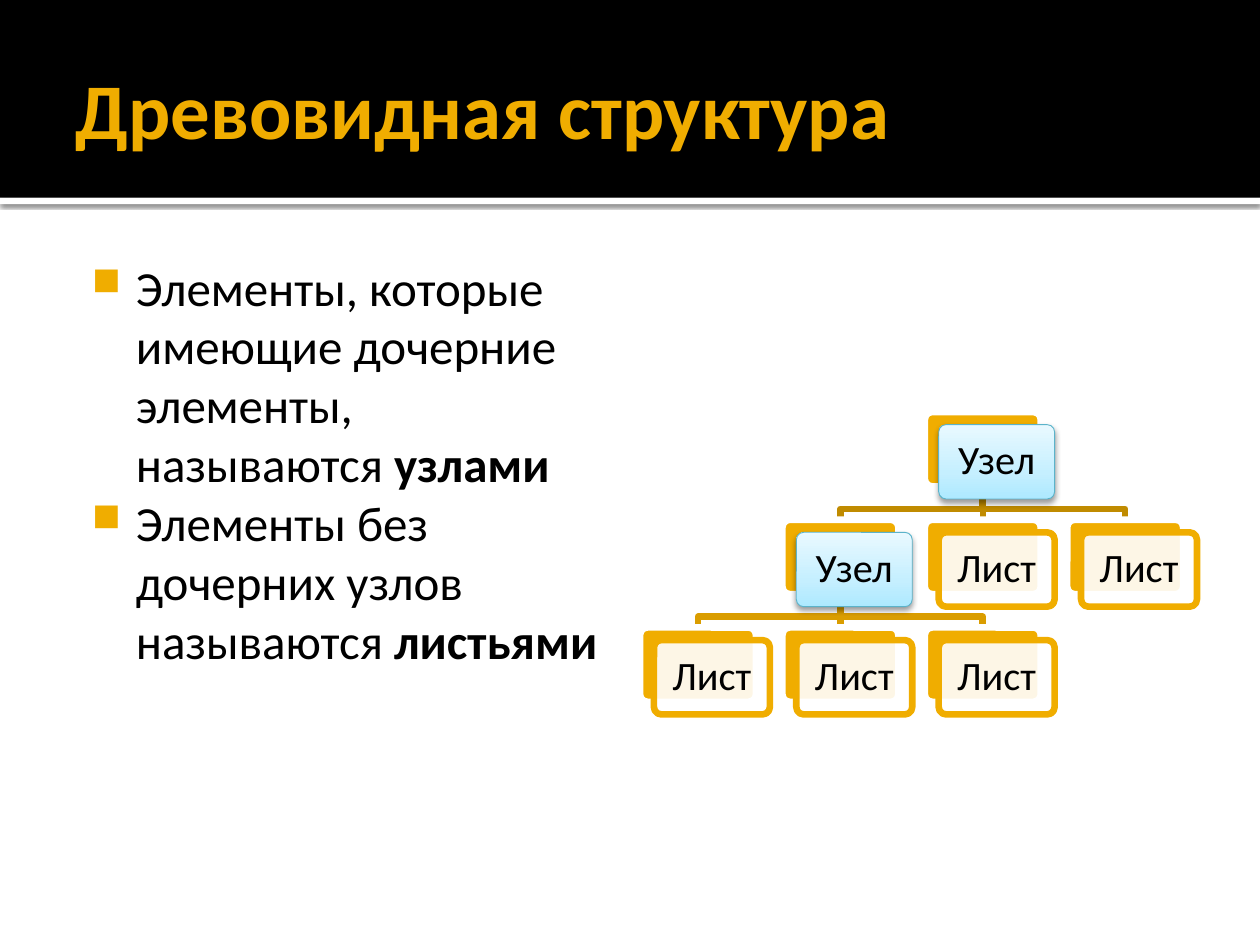
import copy

import pptx
import pptx.dml.color
import pptx.enum.shapes
import pptx.enum.text
import pptx.oxml
import pptx.oxml.ns
import pptx.util
from pptx.util import Inches

RGBColor = pptx.dml.color.RGBColor
MSO_SHAPE = pptx.enum.shapes.MSO_SHAPE
ANCHOR = pptx.enum.text.MSO_ANCHOR
ALIGN = pptx.enum.text.PP_ALIGN
qn = pptx.oxml.ns.qn

BLACK = RGBColor(0x00, 0x00, 0x00)
WHITE = RGBColor(0xFF, 0xFF, 0xFF)
GOLD = RGBColor(0xF0, 0xAD, 0x00)
ROOT_LINK = RGBColor(0xC0, 0x8B, 0x00)
CHILD_LINK = RGBColor(0xDA, 0x9D, 0x00)
NODE_LINE = RGBColor(0x5B, 0xB3, 0xCA)
NODE_STOPS = [
    (0, RGBColor(0xAD, 0xE9, 0xFF)),
    (0.35, RGBColor(0xC5, 0xEF, 0xFF)),
    (1, RGBColor(0xE9, 0xF9, 0xFF)),
]

# Tree grid: cards sit on columns and rows, labels are shifted off the cards
LEFT, TOP = 5.08, 3.27
COLUMN_STEP, ROW_STEP = 1.13, 0.855
CARD_WIDTH, CARD_HEIGHT = 0.92, 0.59
SHIFT_X, SHIFT_Y = 0.11, 0.1
LINK_BEND, LINK_HEIGHT = 0.18, 0.27
THICK = 3.78

LINKS = [  # parent (column, row), child columns, colour
    ((2, 0), (1, 2, 3), ROOT_LINK),
    ((1, 1), (0, 1, 2), CHILD_LINK),
]
CARDS = [  # column, row, label
    (2, 0, "Узел"), (1, 1, "Узел"),
    (0, 2, "Лист"), (1, 2, "Лист"), (2, 2, "Лист"),
    (2, 1, "Лист"), (3, 1, "Лист"),
]
BULLETS = [
    [("Элементы, которые имеющие дочерние элементы, называются ", False), ("узлами", True)],
    [("Элементы без дочерних узлов называются ", False), ("листьями", True)],
]


def write_text(paragraph, text, *, size, color=BLACK, bold=False, font="Calibri"):
    run = paragraph.add_run()
    run.text = text
    run.font.name = font
    run.font.size = pptx.util.Pt(size)
    run.font.bold = bold
    run.font.color.rgb = color


def drawing_element(xml):
    return pptx.oxml.parse_xml(xml.replace(">", f" {pptx.oxml.ns.nsdecls('a')}>", 1))


class SlideBuilder:
    def __init__(self, slide):
        self.slide = slide

    def box(self, preset, left, top, width, height, fill=None, line=None, line_width=THICK):
        shape = self.slide.shapes.add_shape(
            preset, Inches(left), Inches(top), Inches(width), Inches(height))
        shape.shadow.inherit = False
        if fill is not None:
            shape.fill.solid()
            shape.fill.fore_color.rgb = fill
        if line is None:
            shape.line.fill.background()
        else:
            self.stroke(shape, line, line_width)
        return shape

    def stroke(self, shape, color, width=THICK):
        shape.line.color.rgb = color
        shape.line.width = pptx.util.Pt(width)

    def drop_shadow(self, shape, opacity, blur, distance):
        effects = shape.element.spPr.find(qn("a:effectLst"))
        effects.append(drawing_element(
            f'<a:outerShdw blurRad="{pptx.util.Pt(blur)}" dist="{pptx.util.Pt(distance)}" '
            f'dir="5400000" rotWithShape="0"><a:srgbClr val="{BLACK}">'
            f'<a:alpha val="{opacity * 1000}"/></a:srgbClr></a:outerShdw>'))

    def gradient(self, shape, stops):
        shape.fill.gradient()
        shape.fill.gradient_angle = 90
        stop_list = next(shape.element.spPr.iter(qn("a:gsLst")))
        while len(stop_list) < len(stops):
            stop_list.append(copy.deepcopy(stop_list[0]))
        for stop, (position, color) in zip(shape.fill.gradient_stops, stops):
            stop.position = position
            stop.color.rgb = color

    def frame(self, shape, margins, anchor):
        frame = shape.text_frame
        frame.word_wrap = True
        frame.vertical_anchor = anchor
        (frame.margin_left, frame.margin_top,
         frame.margin_right, frame.margin_bottom) = map(Inches, margins)
        return frame

    def text_box(self, left, top, width, height, margins, anchor=ANCHOR.TOP):
        shape = self.slide.shapes.add_textbox(
            Inches(left), Inches(top), Inches(width), Inches(height))
        return self.frame(shape, margins, anchor)

    def bullet(self, paragraph, parts):
        properties = paragraph._p.get_or_add_pPr()
        properties.set("marL", str(Inches(0.48)))
        properties.set("indent", str(Inches(-0.35)))
        for xml in (f'<a:buClr><a:srgbClr val="{GOLD}"/></a:buClr>',
                    '<a:buSzPct val="80000"></a:buSzPct>',
                    '<a:buChar char="■"></a:buChar>'):
            properties.append(drawing_element(xml))
        for text, bold in parts:
            write_text(paragraph, text, size=28, bold=bold)

    def link(self, parent, child_column, color):
        column, row = parent
        start_x, end_x = (LEFT + c * COLUMN_STEP + CARD_WIDTH / 2 for c in (column, child_column))
        start_y = TOP + row * ROW_STEP + CARD_HEIGHT
        bend_y, end_y = start_y + LINK_BEND, start_y + LINK_HEIGHT
        if child_column == column:
            shape = self.slide.shapes.add_connector(
                pptx.enum.shapes.MSO_CONNECTOR.STRAIGHT,
                Inches(start_x), Inches(start_y), Inches(end_x), Inches(end_y))
            shape.element.spPr.append(drawing_element("<a:effectLst></a:effectLst>"))
        else:
            builder = self.slide.shapes.build_freeform(Inches(start_x), Inches(start_y))
            corners = [(start_x, bend_y), (end_x, bend_y), (end_x, end_y)]
            builder.add_line_segments([(Inches(x), Inches(y)) for x, y in corners], close=False)
            shape = builder.convert_to_shape()
            shape.shadow.inherit = False
            shape.fill.background()
        self.stroke(shape, color)

    def card(self, column, row, label):
        left, top = LEFT + column * COLUMN_STEP, TOP + row * ROW_STEP
        size = CARD_WIDTH, CARD_HEIGHT
        preset = MSO_SHAPE.ROUNDED_RECTANGLE
        back = self.box(preset, left, top, *size, GOLD, WHITE)
        front_place = left + SHIFT_X, top + SHIFT_Y
        if label == "Узел":
            front = self.box(preset, *front_place, *size, line=NODE_LINE, line_width=0.5)
            self.gradient(front, NODE_STOPS)
            self.drop_shadow(front, opacity=38, blur=3.5, distance=2)
        else:
            front = self.box(preset, *front_place, *size, WHITE, GOLD)
            color = front.element.spPr.find(qn("a:solidFill"))[0]
            color.append(drawing_element('<a:alpha val="90000"></a:alpha>'))
        for shape in (back, front):
            shape.adjustments[0] = 0.1
        paragraph = self.frame(front, (0.1, 0.1, 0.1, 0.1), ANCHOR.MIDDLE).paragraphs[0]
        paragraph.alignment = ALIGN.CENTER
        paragraph.line_spacing = 0.9
        write_text(paragraph, label, size=23)


def main():
    presentation = pptx.Presentation()
    presentation.slide_width, presentation.slide_height = Inches(10), Inches(7.5)
    builder = SlideBuilder(presentation.slides.add_slide(presentation.slide_layouts[6]))

    # Header band
    strip = builder.box(MSO_SHAPE.RECTANGLE, 0, 1.57, 10, 0.05, WHITE)
    builder.drop_shadow(strip, opacity=60, blur=2.5, distance=0.8)
    builder.box(MSO_SHAPE.RECTANGLE, 0, 0, 10, 1.57, BLACK)
    title = builder.text_box(0.5, 0.17, 9, 1.37, (0.1, 0.05, 0.05, 0.05), ANCHOR.MIDDLE)
    write_text(title.paragraphs[0], "Древовидная структура", size=45, color=GOLD, bold=True)

    # Definitions
    body = builder.text_box(0.5, 1.94, 4.42, 5.06, (0.1, 0.1, 0.1, 0.05))
    for index, parts in enumerate(BULLETS):
        builder.bullet(body.add_paragraph() if index else body.paragraphs[0], parts)

    # Tree: links behind, cards in front
    for parent, child_columns, color in LINKS:
        for child_column in child_columns:
            builder.link(parent, child_column, color)
    for card in CARDS:
        builder.card(*card)

    presentation.save("out.pptx")


if __name__ == "__main__":
    main()
